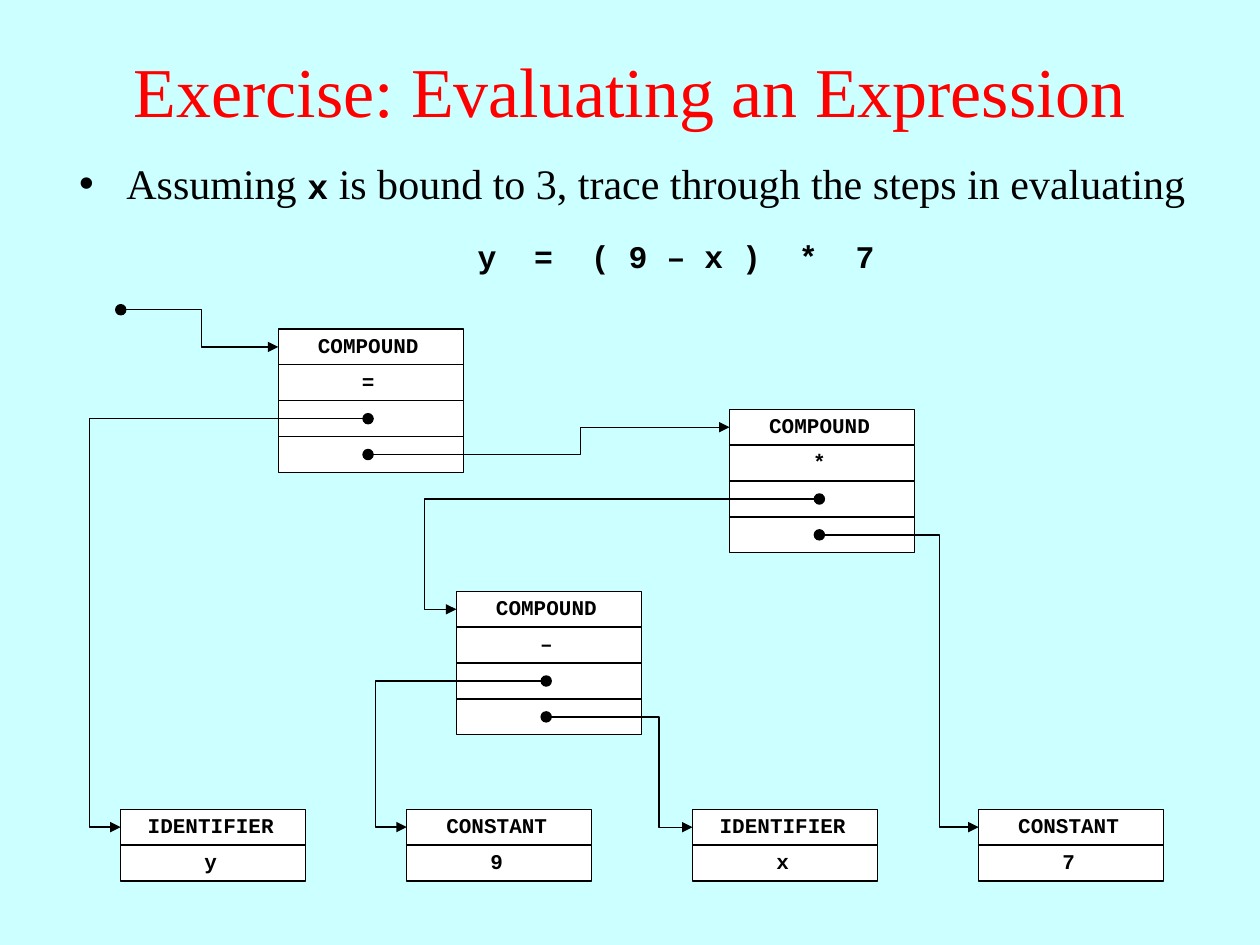
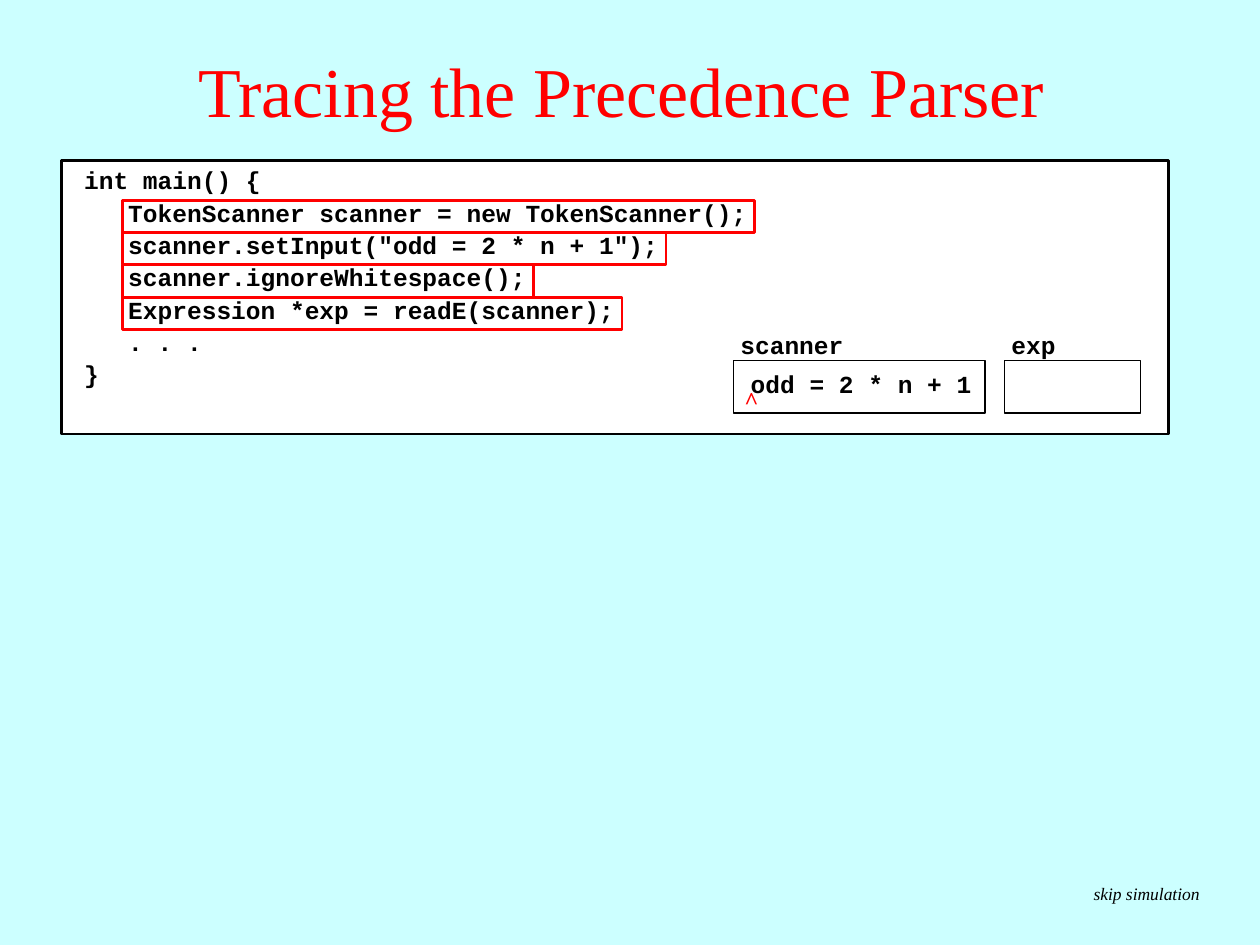
from pptx import Presentation
from pptx.dml.color import RGBColor
from pptx.enum import shapes, text
from pptx.oxml.ns import qn
from pptx import util as u
from lxml import etree

BACKGROUND = RGBColor(0xCC, 0xFF, 0xFF)
RED = RGBColor(0xFF, 0, 0)
BLACK = RGBColor(0, 0, 0)
WHITE = RGBColor(0xFF, 0xFF, 0xFF)
SERIF = "Times New Roman"
MONO = "Courier New"

CELL_WIDTH, CELL_HEIGHT = 105.8, 20.5
DOT_SIZE, DOT_OFFSET = 5.8, 51.3
LEAF_LEFT, LEAF_TOP, LEAF_PITCH = 69, 462.4, 163.4
CODE_INDENT, CHARACTER_WIDTH, CODE_PITCH = 25.2, 8.4, 18.5


def write(paragraph, content, size=14, font=MONO, color=BLACK, bold=False, italic=False):
    run = paragraph.add_run()
    run.text = content
    run.font.size = u.Pt(size)
    run.font.name = font
    run.font.color.rgb = color
    run.font.bold = bold
    run.font.italic = italic


class Deck:
    def __init__(self):
        self.presentation = Presentation()
        self.presentation.slide_width = u.Pt(720)
        self.presentation.slide_height = u.Pt(540)
        fill = self.presentation.slide_master.background.fill
        fill.solid()
        fill.fore_color.rgb = BACKGROUND
        self.slide = None

    def new_slide(self, layout, title):
        self.slide = self.presentation.slides.add_slide(self.presentation.slide_layouts[layout])
        shape = self.slide.shapes.title
        self.place(shape, 0, 6, 720, 90)
        frame = shape.text_frame
        frame.auto_size = text.MSO_AUTO_SIZE.NONE
        frame.vertical_anchor = text.MSO_ANCHOR.MIDDLE
        frame.paragraphs[0].alignment = text.PP_ALIGN.CENTER
        write(frame.paragraphs[0], title, size=40, font=SERIF, color=RED)

    def place(self, shape, left, top, width, height):
        shape.left, shape.top = u.Pt(left), u.Pt(top)
        shape.width, shape.height = u.Pt(width), u.Pt(height)

    def bullet(self, left, top, width, height):
        shape = self.slide.placeholders[1]
        self.place(shape, left, top, width, height)
        shape.text_frame.auto_size = text.MSO_AUTO_SIZE.NONE
        paragraph = shape.text_frame.paragraphs[0]
        paragraph.alignment = text.PP_ALIGN.JUSTIFY
        paragraph.line_spacing = 0.85
        paragraph.space_before = u.Pt(0)
        paragraph.space_after = u.Pt(6)
        properties = paragraph._p.get_or_add_pPr()
        properties.set("marL", str(u.Pt(27)))
        properties.set("indent", str(u.Pt(-27)))
        etree.SubElement(properties, qn("a:buChar")).set("char", "•")
        return paragraph

    def label(self, lines, left, top, width, height, spacing=None, before=0,
              align=text.PP_ALIGN.LEFT, **style):
        frame = self.slide.shapes.add_textbox(
            u.Pt(left), u.Pt(top), u.Pt(width), u.Pt(height)).text_frame
        frame.word_wrap = True
        frame.auto_size = text.MSO_AUTO_SIZE.SHAPE_TO_FIT_TEXT
        for number, (content, indent) in enumerate(lines):
            paragraph = frame.add_paragraph() if number else frame.paragraphs[0]
            paragraph.alignment = align
            paragraph.space_before = u.Pt(before)
            if spacing:
                paragraph.line_spacing = spacing
            if indent:
                paragraph._p.get_or_add_pPr().set("marL", str(u.Pt(indent)))
            write(paragraph, content, **style)

    def shape(self, left, top, width, height, fill=None, line=BLACK, weight=0.75,
              kind=shapes.MSO_SHAPE.RECTANGLE):
        shape = self.slide.shapes.add_shape(
            kind, u.Pt(left), u.Pt(top), u.Pt(width), u.Pt(height))
        shape.shadow.inherit = False
        if fill is None:
            shape.fill.background()
        else:
            shape.fill.solid()
            shape.fill.fore_color.rgb = fill
        shape.line.color.rgb = line
        shape.line.width = u.Pt(weight)
        return shape

    def cell(self, left, top, content):
        shape = self.shape(left, top, CELL_WIDTH, CELL_HEIGHT, fill=WHITE)
        if content:
            frame = shape.text_frame
            frame.margin_top, frame.margin_bottom = 0, u.Pt(2)
            frame.margin_right = u.Pt(10)
            frame.vertical_anchor = text.MSO_ANCHOR.MIDDLE
            frame.paragraphs[0].alignment = text.PP_ALIGN.CENTER
            write(frame.paragraphs[0], content, size=12, bold=True)

    def dot(self, x, y):
        radius = DOT_SIZE / 2
        self.shape(x - radius, y - radius, DOT_SIZE, DOT_SIZE, fill=BLACK,
                   kind=shapes.MSO_SHAPE.OVAL)
        return x, y

    def node(self, left, top, labels):
        dots = []
        for row, content in enumerate(labels):
            cell_top = top + row * CELL_HEIGHT
            self.cell(left, cell_top, content)
            if not content:
                dots.append(self.dot(left + DOT_OFFSET, cell_top + CELL_HEIGHT / 2))
        return (left, top + CELL_HEIGHT / 2), dots

    def link(self, dot, target, bend=None):
        bend = target[0] - 18 if bend is None else bend
        start = dot[0] + (DOT_SIZE / 2 if bend > dot[0] else -DOT_SIZE / 2)
        connector = self.slide.shapes.add_connector(
            shapes.MSO_CONNECTOR.ELBOW, u.Pt(start), u.Pt(dot[1]),
            u.Pt(target[0]), u.Pt(target[1]))
        connector.line.color.rgb = BLACK
        connector.line.width = u.Pt(0.75)
        etree.SubElement(connector.line._get_or_add_ln(), qn("a:tailEnd")).set("type", "triangle")
        properties = connector._element.spPr
        etree.SubElement(properties, qn("a:effectLst"))
        ratio = round((bend - start) / (target[0] - start) * 100000)
        guides = properties.find(qn("a:prstGeom")).get_or_add_avLst()
        guide = etree.SubElement(guides, qn("a:gd"))
        guide.set("name", "adj1")
        guide.set("fmla", f"val {ratio}")


def expression_slide(deck):
    deck.new_slide(1, "Exercise: Evaluating an Expression")
    paragraph = deck.bullet(38, 91, 648, 47)
    write(paragraph, "Assuming ", size=24, font=SERIF)
    write(paragraph, "x", size=20, bold=True)
    write(paragraph, " is bound to 3, trace through the steps in evaluating",
          size=24, font=SERIF)
    deck.label([("y  =  ( 9 – x )  *  7", 0)], 232.6, 131.8, 307.4, 28.8,
               before=11.2, align=text.PP_ALIGN.CENTER, size=18, bold=True)

    leaves = [("IDENTIFIER", "y"), ("CONSTANT", "9"), ("IDENTIFIER", "x"), ("CONSTANT", "7")]
    y, nine, x, seven = [
        deck.node(LEAF_LEFT + column * LEAF_PITCH, LEAF_TOP, labels)[0]
        for column, labels in enumerate(leaves)]
    minus, minus_dots = deck.node(260.8, 337.9, ("COMPOUND", "–", "", ""))
    times, times_dots = deck.node(416.9, 233.9, ("COMPOUND", "*", "", ""))
    assign, assign_dots = deck.node(159, 188, ("COMPOUND", "=", "", ""))
    root = deck.dot(69, 177)

    deck.link(assign_dots[0], y)
    deck.link(assign_dots[1], times, bend=332)
    deck.link(times_dots[0], minus)
    deck.link(times_dots[1], seven, bend=537)
    deck.link(minus_dots[0], nine)
    deck.link(minus_dots[1], x, bend=376.6)
    deck.link(root, assign, bend=115.4)


def parser_slide(deck):
    deck.new_slide(5, "Tracing the Precedence Parser ")
    deck.label([("skip simulation", 0)], 617.8, 501.1, 90, 19.4,
               before=6.2, size=10, font=SERIF, italic=True)
    deck.shape(35.2, 91.8, 632.4, 156.2, fill=WHITE, weight=1.5)

    statements = ["TokenScanner scanner = new TokenScanner();",
                  'scanner.setInput("odd = 2 * n + 1");',
                  "scanner.ignoreWhitespace();",
                  "Expression *exp = readE(scanner);"]
    body = [(line, CODE_INDENT) for line in statements + [". . ."]]
    deck.label([("int main() {", 0), *body, ("}", 0)],
               41, 89.2, 627, 136.8, spacing=1.1, bold=True)

    for name, left, width in (("scanner", 419, 144), ("exp", 573.9, 78)):
        deck.shape(left, 206, width, 30)
        deck.label([(name, 0)], left - 3, 183.2, 85, 25.9, spacing=1.1, bold=True)
    deck.label([("odd = 2 * n + 1", 0)], 421.9, 207.4, 150, 24.5, bold=True)
    deck.label([("^", 0)], 418.3, 216.2, 23.8, 24.5, before=8.8,
               font=SERIF, color=RED, bold=True)

    for row, line in enumerate(statements):
        deck.shape(69.9, 114.5 + row * CODE_PITCH, len(line) * CHARACTER_WIDTH + 8.3, 18.3,
                   line=RED, weight=1.5)


def main():
    deck = Deck()
    expression_slide(deck)
    parser_slide(deck)
    deck.presentation.save("out.pptx")


if __name__ == "__main__":
    main()
